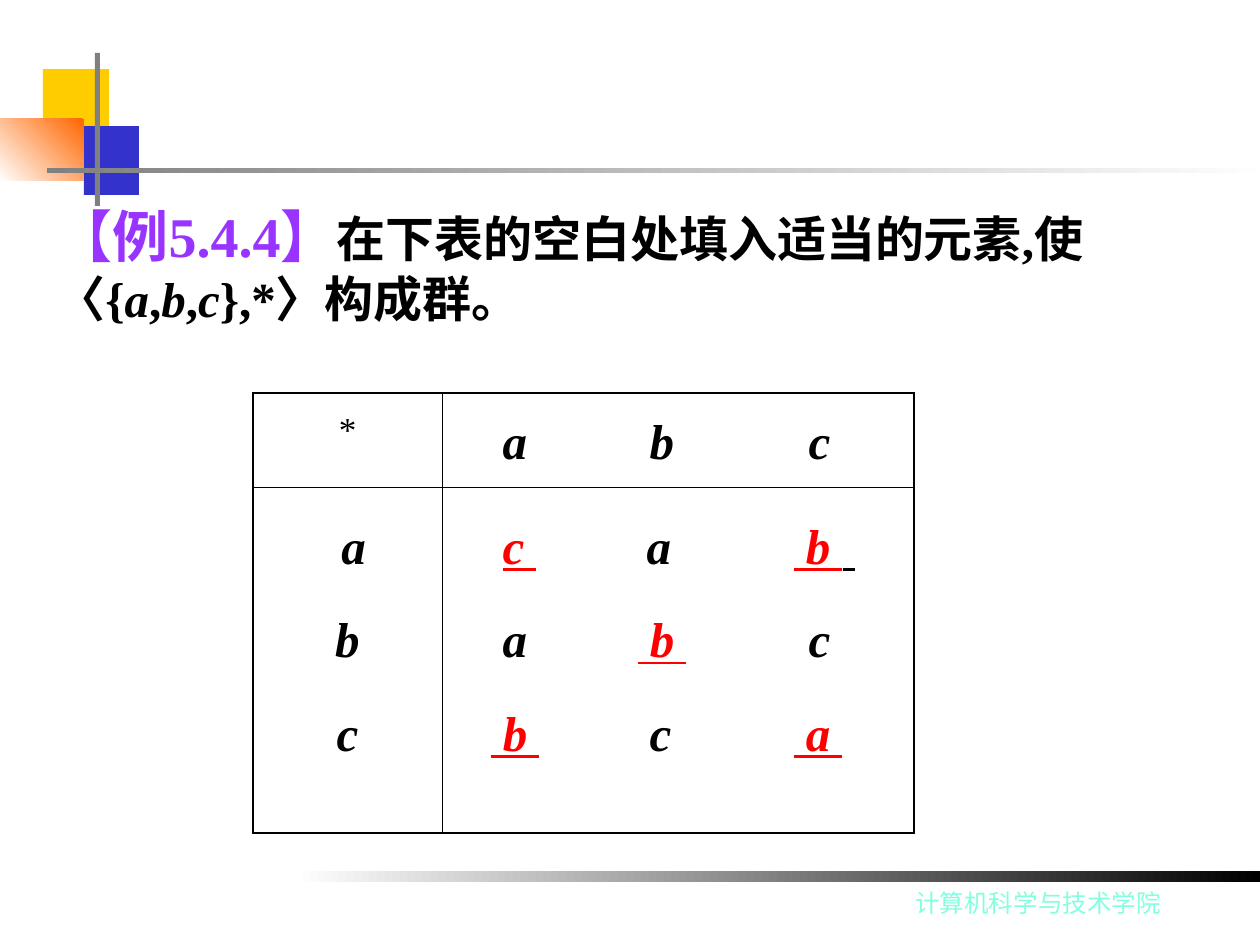
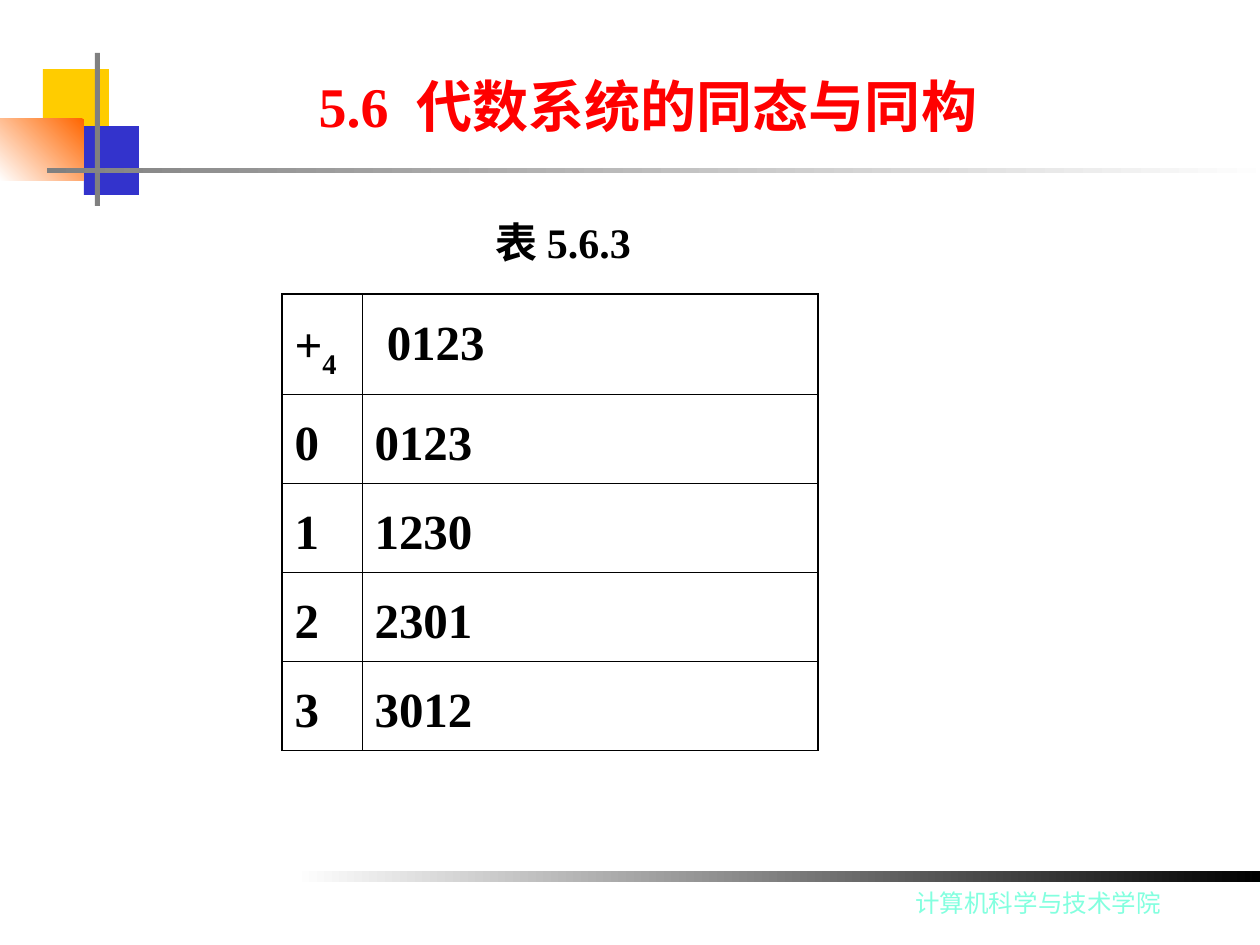
"""Build two slides on algebraic systems: a group table exercise and table 5.6.3."""
import pptx
import pptx.dml.color
import pptx.enum.shapes
import pptx.enum.text
import pptx.oxml
import pptx.oxml.ns
import pptx.util

RGB = pptx.dml.color.RGBColor
BLACK, WHITE, GRAY = RGB(0, 0, 0), RGB(255, 255, 255), RGB(128, 128, 128)
YELLOW, BLUE, ORANGE = RGB(255, 204, 0), RGB(51, 51, 204), RGB(255, 102, 0)
RED, PURPLE, MINT = RGB(255, 0, 0), RGB(153, 51, 255), RGB(131, 255, 223)
SERIF, FOOTER_FONT = "Times New Roman", "Cabin"
OUTER, INNER = 1.08, 0.45
CENTER = pptx.enum.text.PP_ALIGN.CENTER
RECT = pptx.enum.shapes.MSO_SHAPE.RECTANGLE

BLOCKS = [
    ((43, 69, 66, 69), YELLOW),
    ((84, 126, 55, 69), BLUE),
    ((0, 119, 84, 62), (ORANGE, WHITE, 225)),
    ((95, 53, 5, 153), GRAY),
    ((47, 168, 1228, 5), (WHITE, GRAY, 180)),
    ((294, 871, 966, 11), (BLACK, WHITE, 180)),
]
FOOTER = "计算机科学与技术学院"

ITALIC = {"italic": True}
ANSWER = {"italic": True, "underline": True, "color": RED}
RULE = {"italic": True, "underline": True}
QUESTION = [
    ("【例5.4.4】", {"size": 32, "color": PURPLE}),
    ("在下表的空白处填入适当的元素,使〈{", {}),
    ("a", ITALIC), (",", {}), ("b", ITALIC), (",", {}), ("c", ITALIC),
    ("},*〉构成群。", {}),
]
GROUP_HEAD = [((48, 195, 354), [("\ta\tb\tc", ITALIC)])]
GROUP_LABELS = [((), [(text, ITALIC)]) for text in (" a", " b ", "c")]
GROUP_BODY = [
    ((24, 48, 192, 339), [("\t", ITALIC), ("\tc ", ANSWER), ("\ta\t", ITALIC),
                          (" b ", ANSWER), (" ", RULE)]),
    ((48, 183, 354), [("\ta\t", ITALIC), (" b ", ANSWER), ("\tc", ITALIC)]),
    ((36, 195, 339), [("\t", ITALIC), (" b ", ANSWER), ("\tc\t", ITALIC),
                      (" a ", ANSWER)]),
]
STAR = [((), [("*", {"size": 20, "bold": False})])]

TITLE = [("5.6", {}), (" ", {"spacing": 8}), ("代数系统的同态与同构 ", {})]
CAPTION = "表 5.6.3"
SUM_HEAD = [("+", {}), ("4", {"baseline": -25})]
SUM_ROWS = [("0", "0123"), ("1", "1230"), ("2", "2301"), ("3", "3012")]


def px(n):
    return pptx.util.Emu(round(n * 914400 / 126))


def write(p, runs, size=28, color=BLACK, font=SERIF, bold=True):
    for text, style in runs:
        r = p.add_run()
        r.text = text
        f = r.font
        f.name = font
        f.size = pptx.util.Pt(style.get("size", size))
        f.bold = style.get("bold", bold)
        f.italic = style.get("italic", False)
        f.underline = style.get("underline", False)
        f.color.rgb = style.get("color", color)
        rPr = r._r.get_or_add_rPr()
        if "spacing" in style:
            rPr.set("spc", str(style["spacing"] * 100))
        if "baseline" in style:
            rPr.set("baseline", str(style["baseline"] * 1000))


def add_text(slide, box, runs, wrap=True, **style):
    sp = slide.shapes.add_textbox(*map(px, box))
    sp.text_frame.word_wrap = wrap
    write(sp.text_frame.paragraphs[0], runs, **style)
    return sp


def set_tabs(p, stops):
    pPr = p._p.get_or_add_pPr()
    tabs = pptx.oxml.parse_xml(f'<a:tabLst {pptx.oxml.ns.nsdecls("a")}/>')
    for stop in stops:
        tab = tabs.makeelement(pptx.oxml.ns.qn("a:tab"), {"pos": str(px(stop)), "algn": "l"})
        tabs.append(tab)
    pPr.append(tabs)


def fill_cell(cell, lines, spacing, align=None):
    tf = cell.text_frame
    for i, (stops, runs) in enumerate(lines):
        p = tf.add_paragraph() if i else tf.paragraphs[0]
        if stops:
            set_tabs(p, stops)
        p.line_spacing = spacing
        p.alignment = align
        if i:
            p.space_before = pptx.util.Pt(7)
        write(p, runs)


def add_grid(slide, left, top, widths, heights):
    rows, cols = len(heights), len(widths)
    frame = slide.shapes.add_table(rows, cols, px(left), px(top),
                                   px(sum(widths)), px(sum(heights)))
    table = frame.table
    table.first_row = table.horz_banding = False
    for col, width in zip(table.columns, widths):
        col.width = px(width)
    for row, height in zip(table.rows, heights):
        row.height = px(height)
    for i in range(rows):
        for j in range(cols):
            cell = table.cell(i, j)
            cell.fill.solid()
            cell.fill.fore_color.rgb = WHITE
            edges = {"lnL": j == 0, "lnR": j == cols - 1, "lnT": i == 0, "lnB": i == rows - 1}
            tcPr = cell._tc.get_or_add_tcPr()
            for k, (tag, outer) in enumerate(edges.items()):
                width = pptx.util.Pt(OUTER if outer else INNER)
                tcPr.insert(k, pptx.oxml.parse_xml(
                    f'<a:{tag} {pptx.oxml.ns.nsdecls("a")} w="{width}"><a:solidFill>'
                    f'<a:srgbClr val="{BLACK}"/></a:solidFill></a:{tag}>'))
    return table


def decorate_master(prs, slide):
    parts = []
    for box, paint in BLOCKS:
        sp = slide.shapes.add_shape(RECT, *map(px, box))
        sp.shadow.inherit = False
        sp.line.fill.background()
        if isinstance(paint, RGB):
            sp.fill.solid()
            sp.fill.fore_color.rgb = paint
        else:
            start, end, angle = paint
            sp.fill.gradient()
            sp.fill.gradient_angle = angle
            for stop, color, position in zip(sp.fill.gradient_stops, (start, end), (0, 1)):
                stop.color.rgb = color
                stop.position = position
        parts.append(sp)
    parts.append(add_text(slide, (903, 882, 271, 43), [(FOOTER, {})], wrap=False,
                          size=14, color=MINT, font=FOOTER_FONT, bold=False))
    for sp in parts:
        prs.slide_master.shapes.element.append(sp.element)


def build_group_slide(slide):
    add_text(slide, (44, 195, 1155, 139), QUESTION)
    table = add_grid(slide, 253, 393, (189, 472), (94, 346))
    fill_cell(table.cell(0, 0), STAR, 1.3, CENTER)
    fill_cell(table.cell(0, 1), GROUP_HEAD, 1.3)
    fill_cell(table.cell(1, 0), GROUP_LABELS, 1.5, CENTER)
    fill_cell(table.cell(1, 1), GROUP_BODY, 1.5)


def build_sum_slide(slide):
    title = slide.shapes.title
    title.left, title.top, title.width, title.height = map(px, (213, 55, 883, 100))
    title.text_frame.vertical_anchor = pptx.enum.text.MSO_ANCHOR.MIDDLE
    p = title.text_frame.paragraphs[0]
    p.alignment = CENTER
    write(p, TITLE, size=32, color=RED)
    add_text(slide, (483, 210, 210, 63), [(CAPTION, {})], size=24)
    table = add_grid(slide, 282, 294, (80, 456), [100] + [89] * len(SUM_ROWS))
    fill_cell(table.cell(0, 0), [((), SUM_HEAD)], 1.3)
    fill_cell(table.cell(0, 1), [((), [(" 0123", {})])], 1.3)
    for i, row in enumerate(SUM_ROWS, 1):
        for j, text in enumerate(row):
            fill_cell(table.cell(i, j), [((), [(text, {})])], 1.3)


def main():
    prs = pptx.Presentation()
    prs.slide_width, prs.slide_height = px(1260), px(945)
    group_slide = prs.slides.add_slide(prs.slide_layouts[6])
    sum_slide = prs.slides.add_slide(prs.slide_layouts[5])
    decorate_master(prs, group_slide)
    build_group_slide(group_slide)
    build_sum_slide(sum_slide)
    prs.save("out.pptx")


if __name__ == "__main__":
    main()
